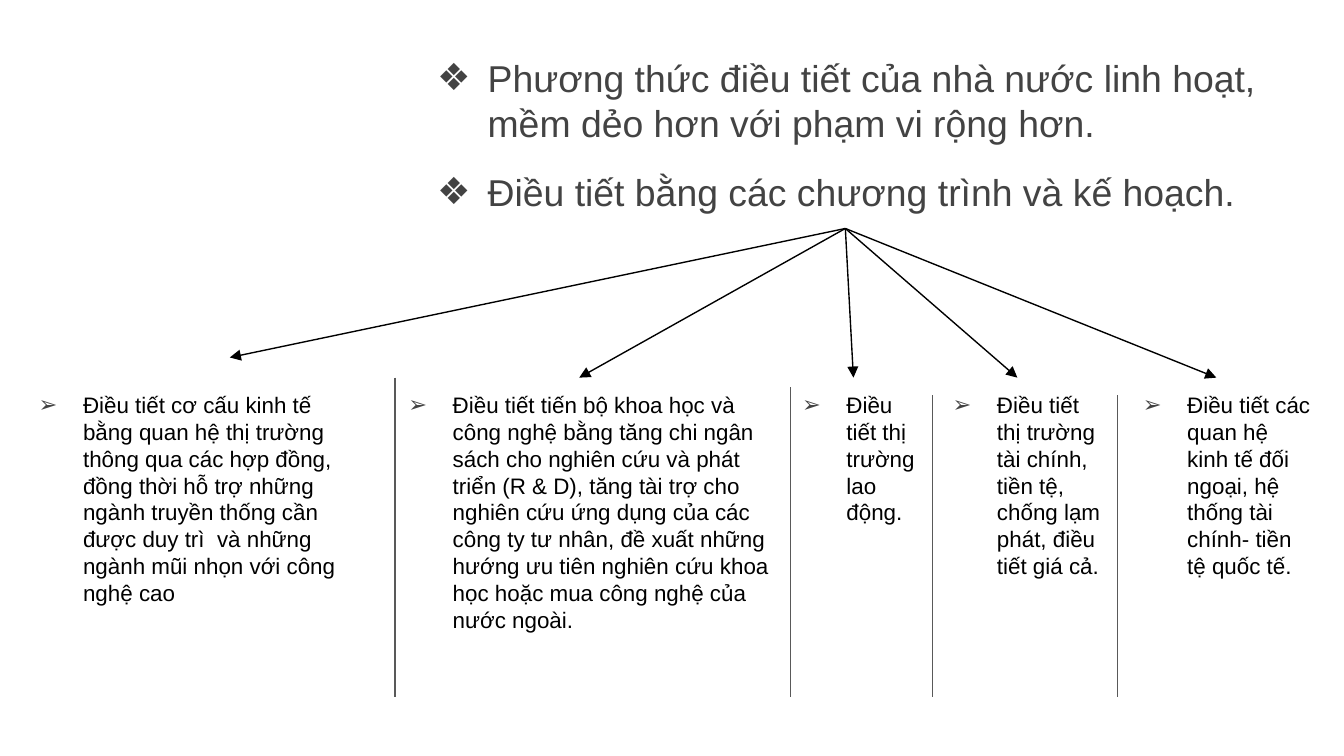
import pptx
import pptx.util
import pptx.dml.color
import pptx.enum.shapes
import pptx.enum.text
from lxml import etree

PX = 4572  # 200 px to the inch
A = "{http://schemas.openxmlformats.org/drawingml/2006/main}"
ANCHOR = pptx.enum.text.MSO_ANCHOR


def rgb(value):
    return pptx.dml.color.RGBColor.from_string(value)


def bullet_text(box, text, bullet, margin, indent, size, color, anchor=ANCHOR.TOP):
    tf = s.shapes.add_textbox(*[v * PX for v in box]).text_frame
    frame = {"word_wrap": True, "vertical_anchor": anchor}
    for side in ("left", "right", "top", "bottom"):
        frame["margin_" + side] = 20 * PX
    for name, value in frame.items():
        setattr(tf, name, value)
    p = tf.paragraphs[0]
    pPr = p._p.get_or_add_pPr()
    pPr.set("marL", str(margin * PX))
    pPr.set("indent", str(-indent * PX))
    bu_color = etree.SubElement(pPr, A + "buClr")
    etree.SubElement(bu_color, A + "srgbClr", val="434343")
    etree.SubElement(pPr, A + "buFont", typeface="Arial")
    etree.SubElement(pPr, A + "buChar", char=bullet)
    r = p.add_run()
    r.text = text
    for name, value in {"name": "Arial", "size": pptx.util.Pt(size)}.items():
        setattr(r.font, name, value)
    r.font.color.rgb = rgb(color)


def line(x1, y1, x2, y2, color, arrow=False):
    c = s.shapes.add_connector(pptx.enum.shapes.MSO_CONNECTOR.STRAIGHT,
                               x1 * PX, y1 * PX, x2 * PX, y2 * PX)
    c.line.width = pptx.util.Pt(0.75)
    c.line.color.rgb = rgb(color)
    if arrow:
        etree.SubElement(c.line._get_or_add_ln(), A + "tailEnd", type="triangle")
    etree.SubElement(c._element.spPr, A + "effectLst")


prs = pptx.Presentation()
prs.slide_width, prs.slide_height = 2000 * PX, 1125 * PX
s = prs.slides.add_slide(prs.slide_layouts[6])

# Headings
bullet_text((630, 62, 1308, 170),
            "Phương thức điều tiết của nhà nước linh hoạt, mềm dẻo hơn với phạm vi rộng hơn.",
            "❖", 76, 75, 20, "434343")
bullet_text((630, 187, 1254, 152), "Điều tiết bằng các chương trình và kế hoạch.",
            "❖", 76, 75, 20, "434343", ANCHOR.BOTTOM)

# Columns: left, width, text
columns = [
    (4, 560, "Điều tiết cơ cấu kinh tế bằng quan hệ thị trường thông qua các hợp đồng, "
     "đồng thời hỗ trợ những ngành truyền thống cần được duy trì  và những ngành "
     "mũi nhọn với công nghệ cao"),
    (554, 616, "Điều tiết tiến bộ khoa học và công nghệ bằng tăng chi ngân sách cho "
     "nghiên cứu và phát triển (R & D), tăng tài trợ cho nghiên cứu ứng dụng của các "
     "công ty tư nhân, đề xuất những hướng ưu tiên nghiên cứu khoa học hoặc mua "
     "công nghệ của nước ngoài."),
    (1140, 260, "Điều tiết thị trường lao động."),
    (1364, 300, "Điều tiết thị trường tài chính, tiền tệ, chống lạm phát, điều tiết giá cả."),
    (1647, 324, "Điều tiết các quan hệ kinh tế đối ngoại, hệ thống tài chính- tiền tệ quốc tế."),
]
for x, w, text in columns:
    bullet_text((x, 562, w, 496), text, "➢", 100, 66, 12, "000000")

# Dividers between columns
for x, top in [(588, 562), (1176, 576), (1388, 588), (1663, 588)]:
    line(x, top, x, 1038, "595959")

# Arrows from the heading to each column
for x, y in [(342, 532), (862, 562), (1270, 562), (1514, 562), (1810, 562)]:
    line(1258, 340, x, y, "000000", arrow=True)

prs.save("out.pptx")
